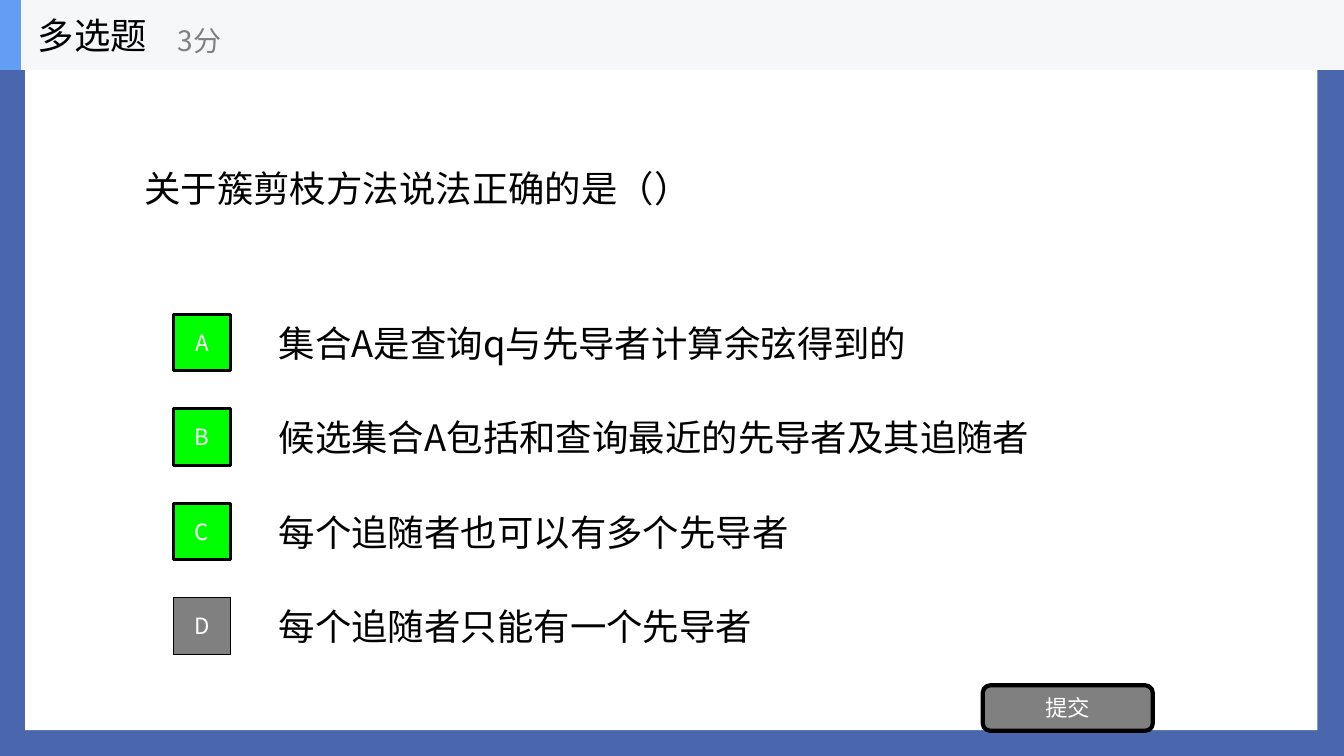
import pptx
import pptx.util
import pptx.dml.color
import pptx.enum.shapes
import pptx.enum.text
import pptx.oxml
import pptx.oxml.ns

Pt = pptx.util.Pt
SHAPES = pptx.enum.shapes.MSO_SHAPE
ALIGN = pptx.enum.text.PP_ALIGN
FONT = "Noto Sans CJK SC"
COLOURS = {
    "frame": "4A66AC",
    "white": "FFFFFF",
    "black": "000000",
    "correct": "00FF00",
    "grey": "808080",
    "header": "F6F7F8",
    "accent": "639EF4",
}


def colour(name):
    return pptx.dml.color.RGBColor.from_string(COLOURS[name])


def add_box(box, kind=None, fill=None, line=0, text="", size=26, ink="black", align=ALIGN.LEFT):
    position = [Pt(length) for length in box]
    if kind is None:
        shape = slide.shapes.add_textbox(*position)
    else:
        shape = slide.shapes.add_shape(kind, *position)
        shape.shadow.inherit = False
        shape.fill.solid()
        shape.fill.fore_color.rgb = colour(fill)
        if line:
            shape.line.color.rgb = colour("black")
            shape.line.width = Pt(line)
        else:
            shape.line.fill.background()
    if text:
        frame = shape.text_frame
        frame_format = {"word_wrap": True, "vertical_anchor": pptx.enum.text.MSO_ANCHOR.MIDDLE}
        for name, value in frame_format.items():
            setattr(frame, name, value)
        paragraph = frame.paragraphs[0]
        paragraph.alignment = align
        run = paragraph.add_run()
        run.text = text
        for name, value in {"size": Pt(size), "name": FONT}.items():
            setattr(run.font, name, value)
        run.font.color.rgb = colour(ink)
        east_asian = pptx.oxml.parse_xml(f'<a:ea {pptx.oxml.ns.nsdecls("a")} typeface="{FONT}"/>')
        run.font._element.append(east_asian)


presentation = pptx.Presentation()
presentation.slide_width = Pt(960)
presentation.slide_height = Pt(540)
slide = presentation.slides.add_slide(presentation.slide_layouts[6])
slide.background.fill.solid()
slide.background.fill.fore_color.rgb = colour("frame")

add_box((18, 19.5, 923, 502), SHAPES.RECTANGLE, "white")
add_box((96, 50, 768, 168), text="关于簇剪枝方法说法正确的是（）")

options = [
    ("A", "集合A是查询q与先导者计算余弦得到的", True),
    ("B", "候选集合A包括和查询最近的先导者及其追随者", True),
    ("C", "每个追随者也可以有多个先导者", True),
    ("D", "每个追随者只能有一个先导者", False),
]
button_style = {"size": 16, "ink": "white", "align": ALIGN.CENTER}
for index, (letter, answer, correct) in enumerate(options):
    top = 219.4 + 67.5 * index
    add_box((192, top, 672, 50.5), text=answer)
    fill, line = ("correct", 2) if correct else ("grey", 1)
    add_box((124, top + 5, 40.5, 40.5), SHAPES.RECTANGLE, fill, line, letter, **button_style)

add_box((702, 489.5, 121.5, 32.5), SHAPES.ROUNDED_RECTANGLE, "grey", 3, "提交", **button_style)

add_box((0, 0, 960, 50), SHAPES.RECTANGLE, "header")
add_box((0, 0, 15, 50), SHAPES.RECTANGLE, "accent")
add_box((20, 0, 150, 50), text="多选题")
add_box((120, 8.75, 180, 40), text="3分", size=20, ink="grey")

presentation.save("out.pptx")
